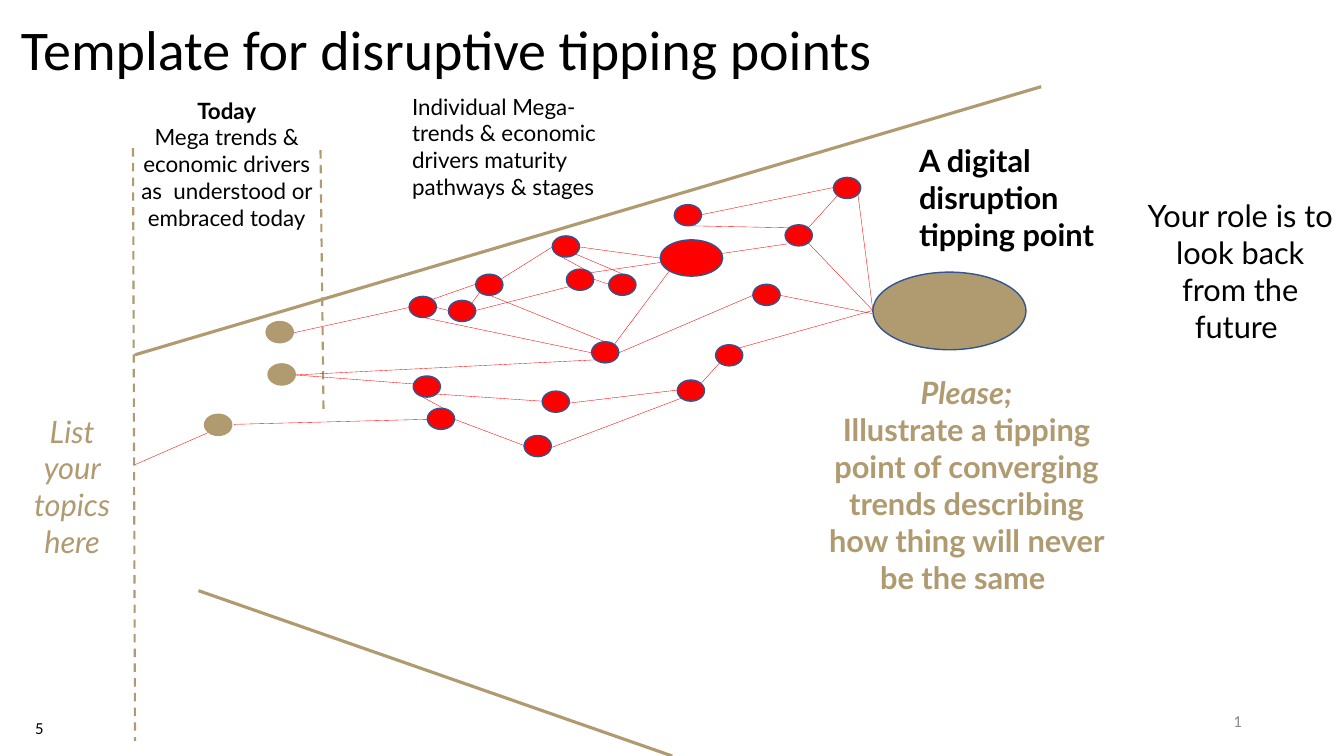
from typing import NamedTuple

from lxml import etree
from pptx import Presentation
from pptx import util as u
from pptx.dml.color import RGBColor
from pptx.enum import dml, shapes, text
from pptx.oxml.ns import qn

COLORS = {"gold": "B09B71", "red": "FF0000", "blue": "325491",
          "black": "000000", "grey": "8C8C8C", "white": "FFFFFF"}
LEFT, CENTER, RIGHT = text.PP_ALIGN.LEFT, text.PP_ALIGN.CENTER, text.PP_ALIGN.RIGHT
NODE_W, NODE_H = 0.27, 0.21


class Line(NamedTuple):
    x1: float
    y1: float
    x2: float
    y2: float
    color: str = "red"
    width: float = 0.25
    dashed: bool = False


class Node(NamedTuple):
    x: float
    y: float
    fill: str = "red"
    line: str = "blue"
    w: float = NODE_W
    h: float = NODE_H


class Run(NamedTuple):
    text: str
    bold: bool = False
    italic: bool = False


class Label(NamedTuple):
    x: float
    y: float
    w: float
    h: float
    paragraphs: list[Run]
    size: float = 22
    align: text.PP_ALIGN = CENTER
    color: str = "black"
    font: str = "Lato"
    fill: str = ""
    grow: bool = True
    anchor: text.MSO_ANCHOR = text.MSO_ANCHOR.TOP


FRAME = [
    Line(10.33, 0.86, 1.34, 3.52, "gold", 2.25),
    Line(6.67, 7.5, 1.97, 5.86, "gold", 2.25),
    Line(3.18, 1.49, 3.21, 4.08, "gold", 1.5, True),
    Line(1.32, 1.47, 1.34, 7.35, "gold", 1.5, True),
]

LINKS = [Line(*ends) for ends in (
    (4.76, 2.9, 4.68, 3.01), (2.92, 3.3, 4.06, 3.05), (4.33, 3.05, 4.45, 3.08),
    (4.86, 2.93, 6.1, 3.43), (4.2, 3.15, 5.87, 3.5), (4.72, 2.82, 4.29, 2.97),
    (5.52, 2.52, 5.85, 2.7), (5.71, 2.52, 6.18, 2.72), (5.89, 2.77, 6.04, 2.82),
    (5.66, 2.84, 4.72, 3.08), (6.83, 2.24, 7.83, 2.26), (8.27, 1.86, 6.96, 2.13),
    (8.31, 1.94, 8.02, 2.26), (7.81, 2.42, 5.83, 2.71), (4.97, 2.77, 5.48, 2.45),
    (7.47, 2.93, 6.14, 3.5), (6.64, 2.69, 6.1, 3.41), (6.55, 2.56, 5.75, 2.45),
    (8.66, 3.08, 8.02, 2.41), (8.65, 3.11, 7.74, 2.93), (5.91, 3.57, 2.93, 3.72),
    (8.66, 3.08, 8.51, 1.91), (4.14, 3.91, 4.47, 4.09), (4.34, 3.91, 5.38, 3.98),
    (4.51, 4.16, 5.2, 4.42), (2.93, 3.72, 4.38, 3.83), (5.47, 4.44, 6.76, 3.95),
    (5.64, 4, 6.72, 3.87), (7.27, 3.47, 8.66, 3.08), (6.96, 3.8, 7.14, 3.6),
    (1.34, 4.61, 2.07, 4.29), (2.32, 4.21, 4.24, 4.16),
)]

TODAY_DRIVERS = [Node(x, y, "gold", "gold")
                 for x, y in ((2.64, 3.19), (2.03, 4.11), (2.66, 3.61))]
STAGES = [Node(x, y) for x, y in (
    (4.06, 2.94), (4.72, 2.72), (5.87, 3.39), (5.48, 2.34), (5.62, 2.67),
    (6.04, 2.72), (8.27, 1.76), (7.79, 2.23), (6.69, 2.03), (4.45, 2.98),
    (7.47, 2.82), (4.1, 3.73), (4.24, 4.05), (5.2, 4.32), (5.38, 3.88),
    (6.72, 3.77), (7.1, 3.42),
)]
HUB = Node(6.55, 2.38, w=0.62, h=0.36)
TIPPING_POINT = Node(8.66, 2.7, "gold", w=1.52, h=0.77)

LABELS = [
    Label(0.11, 0.09, 13.2, 0.77, [Run("Template for disruptive tipping points")],
          40, LEFT, font="Calibri"),
    Label(1.21, 0.91, 2.08, 1.45,
          [Run("Today", bold=True),
           Run("Mega trends & economic drivers as  understood or embraced today")], 16),
    Label(3.99, 0.87, 2.19, 1.18,
          [Run("Individual Mega-trends & economic drivers maturity pathways & stages")],
          16, LEFT),
    Label(11.28, 1.9, 2.05, 1.58,
          [Run("Your role is to look back"), Run("from the future ")], fill="white"),
    Label(9.02, 1.36, 2.1, 1.21,
          [Run("A digital disruption tipping point", bold=True)], align=LEFT),
    Label(0.22, 4.04, 0.99, 1.58, [Run("List your topics here", italic=True)],
          color="gold"),
    Label(8.12, 3.66, 2.94, 2.32,
          [Run("Please;", bold=True, italic=True),
           Run("Illustrate a tipping point of converging trends describing "
               "how thing will never be the same ", bold=True)], color="gold"),
    Label(0.25, 7.07, 3, 0.4, [Run("5")], 12, LEFT, font="Calibri", grow=False),
    Label(9.42, 6.95, 3, 0.4, [Run("1")], 12, RIGHT, "grey", "Calibri",
          grow=False, anchor=text.MSO_ANCHOR.MIDDLE),
]


def cm(inches: float) -> u.Cm:
    """Convert a layout measure in inches to a Cm length."""
    return u.Cm(inches * 2.54)


def rgb(name: str) -> RGBColor:
    return RGBColor.from_string(COLORS[name])


def draw_line(slide, line: Line) -> None:
    ends = (cm(v) for v in line[:4])
    c = slide.shapes.add_connector(shapes.MSO_CONNECTOR.STRAIGHT, *ends)
    c.line.color.rgb = rgb(line.color)
    c.line.width = u.Pt(line.width)
    if line.dashed:
        c.line.dash_style = dml.MSO_LINE.DASH
    etree.SubElement(c._element.spPr, qn("a:effectLst"))


def draw_node(slide, node: Node) -> None:
    sp = slide.shapes.add_shape(shapes.MSO_SHAPE.OVAL, cm(node.x), cm(node.y),
                                cm(node.w), cm(node.h))
    sp.shadow.inherit = False
    sp.fill.solid()
    sp.fill.fore_color.rgb = rgb(node.fill)
    sp.line.color.rgb = rgb(node.line)
    sp.line.width = u.Pt(1)


def draw_label(slide, label: Label) -> None:
    sp = slide.shapes.add_textbox(*(cm(v) for v in label[:4]))
    if label.fill:
        sp.fill.solid()
        sp.fill.fore_color.rgb = rgb(label.fill)
    tf = sp.text_frame
    tf.word_wrap = True
    tf.vertical_anchor = label.anchor
    if label.grow:
        tf.auto_size = text.MSO_AUTO_SIZE.SHAPE_TO_FIT_TEXT
    for i, run in enumerate(label.paragraphs):
        p = tf.add_paragraph() if i else tf.paragraphs[0]
        p.alignment = label.align
        r = p.add_run()
        r.text = run.text
        r.font.name = label.font
        r.font.size = u.Pt(label.size)
        r.font.bold = run.bold
        r.font.italic = run.italic
        r.font.color.rgb = rgb(label.color)


def main() -> None:
    prs = Presentation()
    prs.slide_width, prs.slide_height = u.Cm(33.87), u.Cm(19.05)
    slide = prs.slides.add_slide(prs.slide_layouts[6])
    for line in FRAME + LINKS:
        draw_line(slide, line)
    for node in TODAY_DRIVERS + STAGES + [HUB, TIPPING_POINT]:
        draw_node(slide, node)
    for label in LABELS:
        draw_label(slide, label)
    prs.save("out.pptx")


if __name__ == "__main__":
    main()
